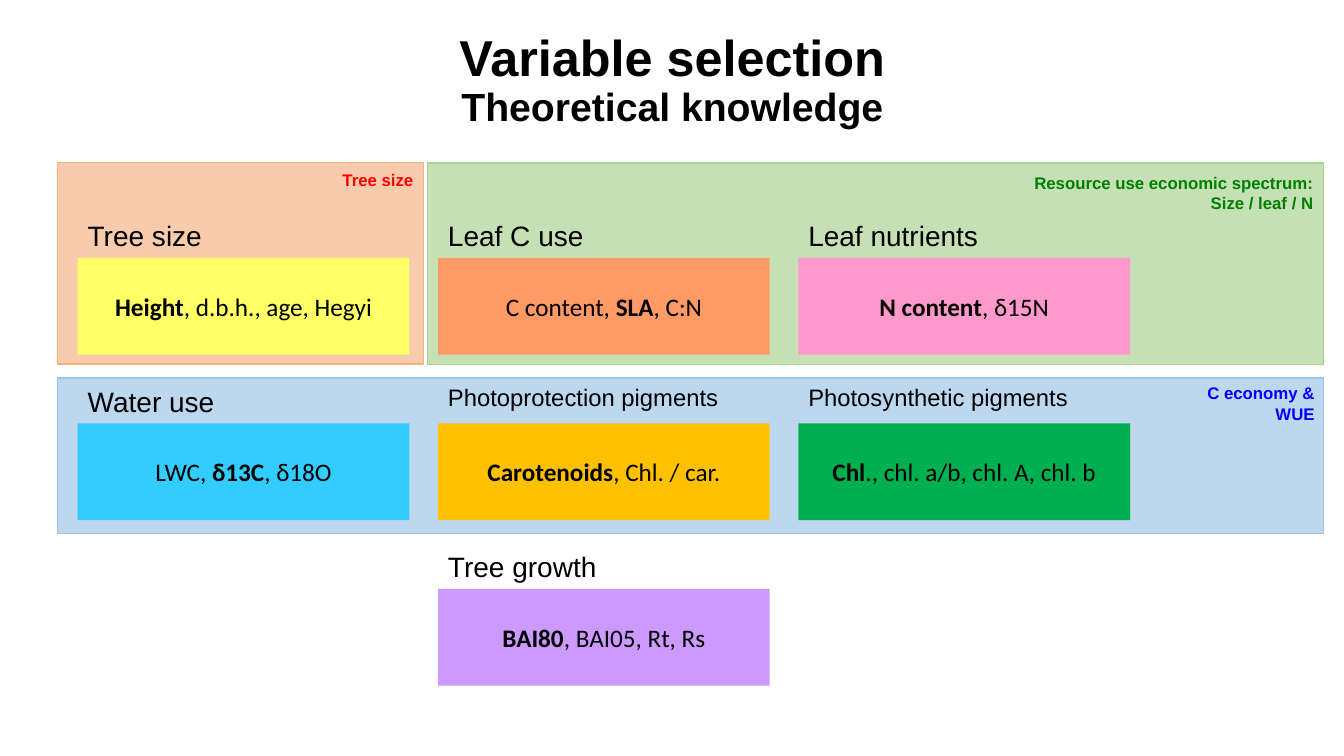
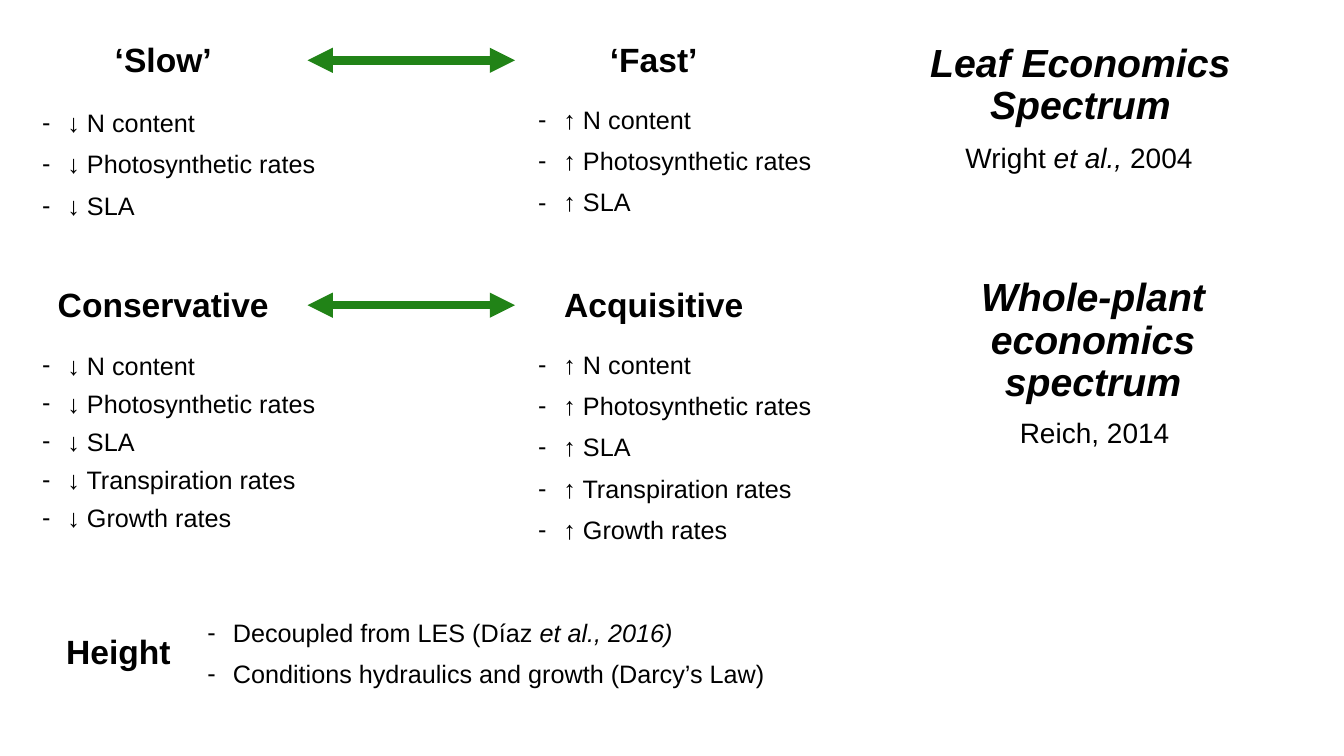
from dataclasses import dataclass
from typing import NamedTuple

from lxml import etree
from pptx import Presentation
from pptx import util as u
from pptx.dml.color import RGBColor
from pptx.enum import shapes, text
from pptx.oxml import ns


@dataclass(frozen=True)
class Theme:
    font: str = "Arial"
    card_font: str = "Calibri"
    ink: str = "000000"
    arrow: str = "218317"
    size_note: str = "FF0000"
    resource_note: str = "008000"
    economy_note: str = "0000FF"
    title: int = 36
    subtitle: int = 28
    pole: int = 24
    heading: int = 20
    long_heading: int = 17
    body: int = 18
    note: int = 12


THEME = Theme()
LEFT, CENTER, RIGHT = text.PP_ALIGN.LEFT, text.PP_ALIGN.CENTER, text.PP_ALIGN.RIGHT


class Box(NamedTuple):
    left: float
    top: float
    width: float
    height: float


class Run(NamedTuple):
    text: str
    bold: bool = False
    italic: bool = False
    size: int | None = None
    break_after: bool = False


@dataclass(frozen=True)
class Style:
    size: int
    font: str = THEME.font
    color: str = THEME.ink
    align: text.PP_ALIGN = LEFT
    spacing: float = 0.9
    before: int = 10
    bullet: bool = False


@dataclass(frozen=True)
class Panel:
    box: Box
    fill: str
    line: str
    note_box: Box
    note: tuple[str, ...]
    note_color: str
    note_wrap: bool = False


@dataclass(frozen=True)
class Card:
    column: int
    row: int
    heading: str
    fill: str
    variables: list[Run]
    long: bool = False


@dataclass(frozen=True)
class Spectrum:
    name: str
    name_box: Box
    citation: list[Run]
    citation_box: Box
    slow: str
    fast: str
    trait_count: int
    slow_spacing: float
    slow_height: float


Paragraphs = list[list[Run]]

PANELS = [
    Panel(Box(1.45, 4.09, 9.22, 5.08), "F8CBAD", "F4B183",
          Box(8.36, 4.14, 2.31, 0.76), ("Tree size",), THEME.size_note),
    Panel(Box(1.45, 9.53, 31.9, 3.91), "BDD7EE", "9DC3E6",
          Box(29.62, 9.53, 3.76, 1.27), ("C economy & WUE",), THEME.economy_note, True),
    Panel(Box(10.77, 4.11, 22.58, 5.08), "C5E0B4", "A9D18E",
          Box(25.76, 4.22, 7.59, 1.27),
          ("Resource use economic spectrum:", "Size / leaf / N"), THEME.resource_note),
]

CARDS = [
    Card(0, 0, "Tree size", "FFFF66",
         [Run("Height", True), Run(", d.b.h., age, Hegyi")]),
    Card(1, 0, "Leaf C use", "FF9966",
         [Run("C content, "), Run("SLA", True), Run(", C:N")]),
    Card(2, 0, "Leaf nutrients", "FF99CC",
         [Run("N content", True), Run(", δ15N")]),
    Card(0, 1, "Water use", "33CCFF",
         [Run("LWC, "), Run("δ13C", True), Run(", δ18O")]),
    Card(1, 1, "Photoprotection pigments", "FFC000",
         [Run("Carotenoids", True), Run(", Chl. / car.")], True),
    Card(2, 1, "Photosynthetic pigments", "00B050",
         [Run("Chl", True), Run("., chl. a/b, chl. A, chl. b")], True),
    Card(1, 2, "Tree growth", "CC99FF",
         [Run("BAI80", True), Run(", BAI05, Rt, Rs")]),
]
FIRST_CARD = Box(1.96, 6.5, 8.36, 2.44)
COLUMN_STEP, ROW_STEP = 9.08, 4.17
HEADING_RISE = 1.02

TRAITS = ["N content", "Photosynthetic rates", "SLA", "Transpiration rates", "Growth rates"]
SPECTRA = [
    Spectrum("Leaf Economics Spectrum", Box(22.73, 0.97, 8.99, 3.1),
             [Run("Wright "), Run("et al., ", italic=True), Run("2004")],
             Box(24.08, 3.51, 6.27, 1.02), "‘Slow’", "‘Fast’", 3, 0.9, 3.53),
    Spectrum("Whole-plant economics spectrum", Box(22.73, 6.88, 9.63, 3.53),
             [Run("Reich, 2014")], Box(25.45, 10.44, 6.27, 1.02),
             "Conservative", "Acquisitive", 5, 0.8, 5.03),
]
SPECTRUM_STEP = 6.17


def lengths(box: Box) -> list[u.Length]:
    return [u.Cm(value) for value in box]


def write(frame, paragraphs: Paragraphs, style: Style) -> None:
    for index, runs in enumerate(paragraphs):
        paragraph = frame.add_paragraph() if index else frame.paragraphs[0]
        paragraph.alignment = style.align
        paragraph.line_spacing = style.spacing
        if index:
            paragraph.space_before = u.Pt(style.before)
        if style.bullet:
            properties = paragraph._p.get_or_add_pPr()
            properties.set("marL", str(u.Cm(0.64)))
            properties.set("indent", str(-u.Cm(0.64)))
            etree.SubElement(properties, ns.qn("a:buFont"), typeface=style.font)
            etree.SubElement(properties, ns.qn("a:buChar"), char="-")
        for part in runs:
            run = paragraph.add_run()
            run.text = part.text
            run.font.name = style.font
            run.font.size = u.Pt(part.size or style.size)
            run.font.bold = part.bold
            run.font.italic = part.italic
            run.font.color.rgb = RGBColor.from_string(style.color)
            if part.break_after:
                paragraph.add_line_break()


def add_text(slide, box: Box, paragraphs: Paragraphs, style: Style,
             wrap: bool = True, anchor=text.MSO_ANCHOR.TOP):
    frame = slide.shapes.add_textbox(*lengths(box)).text_frame
    frame.word_wrap = wrap
    frame.vertical_anchor = anchor
    write(frame, paragraphs, style)
    return frame


def add_block(slide, box: Box, fill: str, line: str | None = None):
    block = slide.shapes.add_shape(shapes.MSO_SHAPE.RECTANGLE, *lengths(box))
    block.shadow.inherit = False
    block.fill.solid()
    block.fill.fore_color.rgb = RGBColor.from_string(fill)
    if line:
        block.line.color.rgb = RGBColor.from_string(line)
        block.line.width = u.Pt(1)
    else:
        block.line.fill.background()
    return block


def add_double_arrow(slide, start: float, end: float, y: float) -> None:
    arrow = slide.shapes.add_connector(
        shapes.MSO_CONNECTOR.STRAIGHT, u.Cm(start), u.Cm(y), u.Cm(end), u.Cm(y))
    arrow.line.color.rgb = RGBColor.from_string(THEME.arrow)
    arrow.line.width = u.Pt(6)
    outline = arrow.line._get_or_add_ln()
    for tip in ("a:headEnd", "a:tailEnd"):
        etree.SubElement(outline, ns.qn(tip), type="triangle")
    etree.SubElement(arrow._element.spPr, ns.qn("a:effectLst"))


def add_note(slide, panel: Panel) -> None:
    style = Style(THEME.note, color=panel.note_color, align=RIGHT, spacing=1.0, before=0)
    lines = [[Run(line, True)] for line in panel.note]
    frame = add_text(slide, panel.note_box, lines, style, panel.note_wrap)
    frame.auto_size = text.MSO_AUTO_SIZE.SHAPE_TO_FIT_TEXT


def add_card(slide, card: Card) -> None:
    left = FIRST_CARD.left + card.column * COLUMN_STEP
    top = FIRST_CARD.top + card.row * ROW_STEP
    block = add_block(slide, FIRST_CARD._replace(left=left, top=top), card.fill)
    block.text_frame.word_wrap = True
    block.text_frame.vertical_anchor = text.MSO_ANCHOR.MIDDLE
    write(block.text_frame, [card.variables],
          Style(THEME.body, THEME.card_font, align=CENTER, spacing=1.0))
    heading_style = (Style(THEME.long_heading, spacing=0.8) if card.long
                     else Style(THEME.heading))
    add_text(slide, Box(left, top - HEADING_RISE, 7.42 if card.long else 5.89, 1.02),
             [[Run(card.heading)]], heading_style)


def add_spectrum(slide, spectrum: Spectrum, drop: float) -> None:
    pole_style = Style(THEME.pole, align=CENTER)
    add_text(slide, Box(0.33, 0.97 + drop, 7.57, 3.53), [[Run(spectrum.slow, True)]], pole_style)
    add_text(slide, Box(12.65, 0.97 + drop, 7.65, 3.05), [[Run(spectrum.fast, True)]], pole_style)
    add_double_arrow(slide, 7.75, 12.98, 1.52 + drop)
    traits = TRAITS[:spectrum.trait_count]
    add_text(slide, Box(0.81, 2.67 + drop, 9.7, spectrum.slow_height),
             [[Run(f"↓ {trait}")] for trait in traits],
             Style(THEME.body, spacing=spectrum.slow_spacing, bullet=True))
    add_text(slide, Box(13.31, 2.59 + drop, 10.77, 3.53),
             [[Run(f"↑ {trait}")] for trait in traits], Style(THEME.body, bullet=True))
    add_text(slide, spectrum.name_box, [[Run(spectrum.name, True, True)]],
             Style(THEME.subtitle, align=CENTER))
    add_text(slide, spectrum.citation_box, [spectrum.citation], Style(THEME.heading))


def build_variable_selection(slide) -> None:
    for panel in PANELS:
        add_block(slide, panel.box, panel.fill, panel.line)
    for card in CARDS:
        add_card(slide, card)
    for panel in PANELS:
        add_note(slide, panel)
    title = [Run("Variable selection", True, break_after=True),
             Run("Theoretical knowledge", True, size=THEME.subtitle)]
    add_text(slide, Box(1.17, 0.51, 31.55, 3.1), [title],
             Style(THEME.title, align=CENTER), anchor=text.MSO_ANCHOR.MIDDLE)


def build_economics_spectra(slide) -> None:
    for index, spectrum in enumerate(SPECTRA):
        add_spectrum(slide, spectrum, index * SPECTRUM_STEP)
    add_text(slide, Box(1.42, 15.88, 4.22, 1.96), [[Run("Height", True)]], Style(THEME.pole))
    add_text(slide, Box(4.98, 15.52, 14.61, 3.53),
             [[Run("Decoupled from LES (Díaz "), Run("et al., 2016)", italic=True)],
              [Run("Conditions hydraulics and growth (Darcy’s Law)")]],
             Style(THEME.body, bullet=True))


def main() -> None:
    deck = Presentation()
    deck.slide_width, deck.slide_height = u.Cm(33.87), u.Cm(19.05)
    for build in (build_variable_selection, build_economics_spectra):
        build(deck.slides.add_slide(deck.slide_layouts[6]))
    deck.save("out.pptx")


if __name__ == "__main__":
    main()
